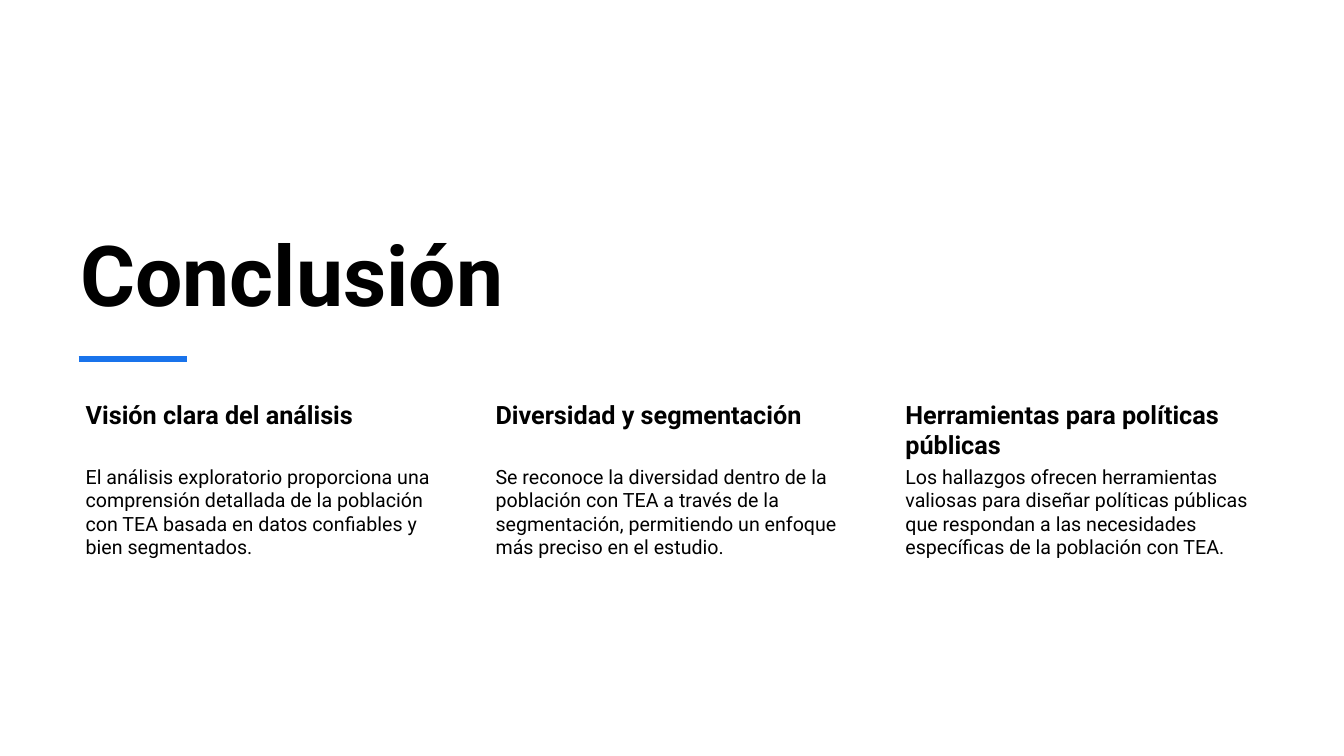
from pptx import Presentation
from pptx.dml.color import RGBColor
from pptx.enum.shapes import MSO_CONNECTOR
from pptx.enum.text import MSO_ANCHOR
from pptx.oxml.ns import qn
from pptx.util import Inches, Pt
from lxml.etree import SubElement

BLACK = RGBColor(0x00, 0x00, 0x00)
BLUE = RGBColor(0x19, 0x73, 0xEB)
FONT = "Roboto"

SLIDE_W, SLIDE_H = 13.33, 7.5
LEFT = 0.7
COLUMN_W, COLUMN_PITCH = 3.69, 4.065
HEADING_H = 0.66

CONCLUSIONS = [
    ("Visión clara del análisis",
     "El análisis exploratorio proporciona una comprensión detallada de la "
     "población con TEA basada en datos confiables y bien segmentados."),
    ("Diversidad y segmentación",
     "Se reconoce la diversidad dentro de la población con TEA a través de la "
     "segmentación, permitiendo un enfoque más preciso en el estudio."),
    ("Herramientas para políticas públicas",
     "Los hallazgos ofrecen herramientas valiosas para diseñar políticas "
     "públicas que respondan a las necesidades específicas de la población "
     "con TEA."),
]


def add_text(slide, box, text, size, bold=False, insets=(0.1, 0.05, 0.1, 0.05),
             anchor=MSO_ANCHOR.TOP):
    """Place one paragraph; insets run left, top, right, bottom in inches."""
    frame = slide.shapes.add_textbox(*map(Inches, box)).text_frame
    frame.word_wrap = True
    frame.vertical_anchor = anchor
    (frame.margin_left, frame.margin_top,
     frame.margin_right, frame.margin_bottom) = map(Inches, insets)
    paragraph = frame.paragraphs[0]
    paragraph.text = text
    paragraph.font.name = FONT
    paragraph.font.size = Pt(size)
    paragraph.font.bold = bold
    paragraph.font.color.rgb = BLACK


def add_title(slide, box, title):
    """Title resting on the bottom of its box, with an accent rule below."""
    left, top, width, height = box
    add_text(slide, box, title, 60, bold=True, anchor=MSO_ANCHOR.BOTTOM)
    rule_left, rule_y = left + 0.08, top + height + 0.3
    rule = slide.shapes.add_connector(
        MSO_CONNECTOR.STRAIGHT, Inches(rule_left), Inches(rule_y),
        Inches(rule_left + 1.07), Inches(rule_y))
    rule.line.color.rgb = BLUE
    rule.line.width = Pt(4.5)
    SubElement(rule._element.spPr, qn("a:effectLst"))


def add_conclusion(slide, box, heading, body):
    left, top, width, height = box
    add_text(slide, (left, top, width, HEADING_H), heading, 18, bold=True,
             insets=(0.15, 0.03, 0.03, 0.03))
    add_text(slide, (left, top + HEADING_H, width, height - HEADING_H), body, 14,
             insets=(0.15, 0.02, 0.02, 0.02))


def main():
    deck = Presentation()
    deck.slide_width, deck.slide_height = Inches(SLIDE_W), Inches(SLIDE_H)
    slide = deck.slides.add_slide(deck.slide_layouts[6])
    add_title(slide, (LEFT, 1.72, 8.93, 1.54), "Conclusión")
    for column, (heading, body) in enumerate(CONCLUSIONS):
        box = (LEFT + column * COLUMN_PITCH, 3.93, COLUMN_W, 2.73)
        add_conclusion(slide, box, heading, body)
    deck.save("out.pptx")


if __name__ == "__main__":
    main()
